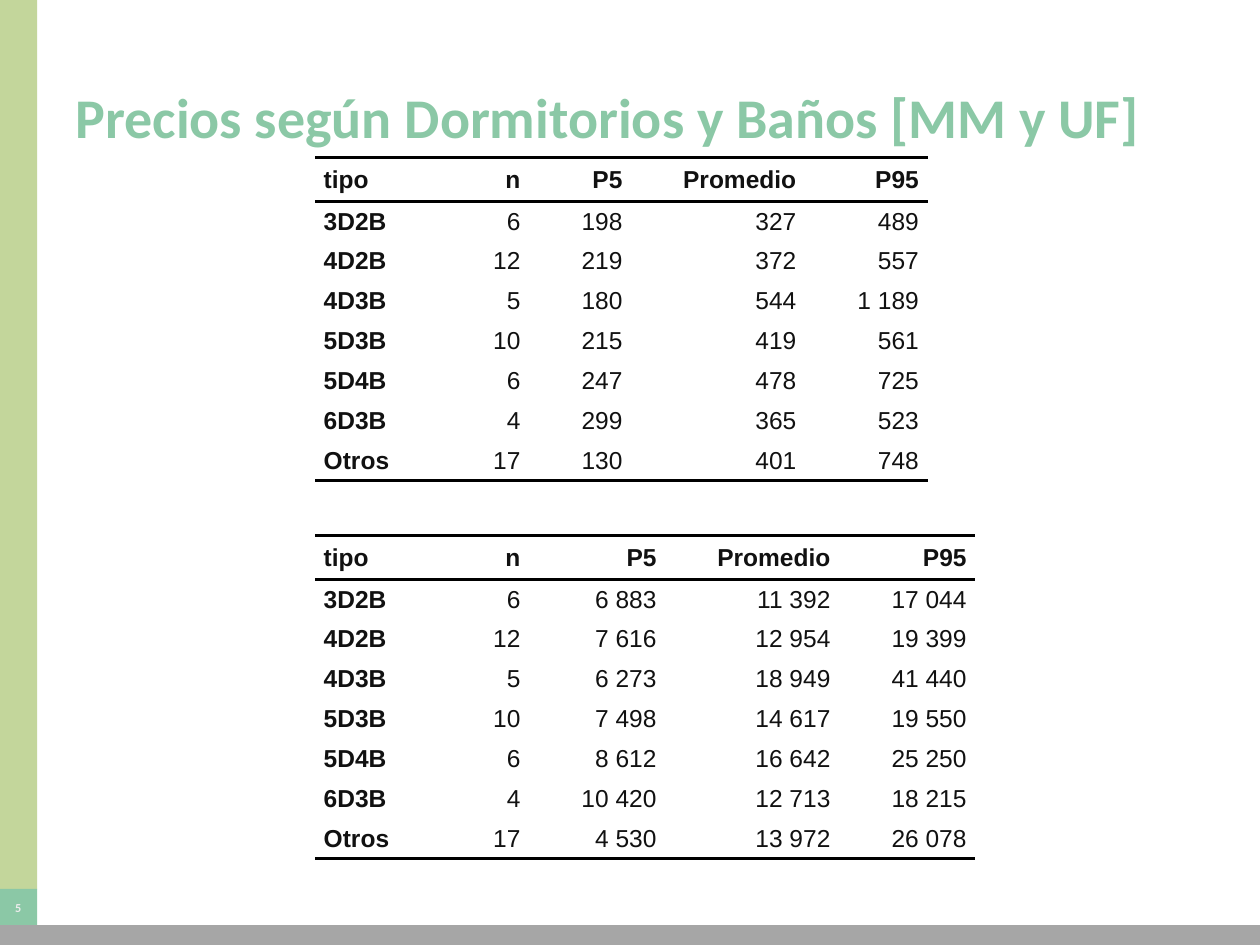
from lxml.etree import SubElement
from pptx import Presentation
from pptx.dml.color import RGBColor
from pptx.enum.shapes import MSO_SHAPE as Shape
from pptx.enum.text import MSO_ANCHOR as Anchor, PP_ALIGN as Align
from pptx.oxml.ns import qn
from pptx.util import Pt

COLORS = {
    "lime": "C3D69B",
    "mint": "8BC8A6",
    "gray": "A6A6A6",
    "pale": "ECECEC",
    "ink": "111111",
    "rule": "000000",
}
NO_STYLE_NO_GRID = "{2D5ABB26-0587-4C30-8999-92F81FD0307C}"
HEADER = ["tipo", "n", "P5", "Promedio", "P95"]
TYPES = ["3D2B", "4D2B", "4D3B", "5D3B", "5D4B", "6D3B", "Otros"]
COUNTS = ["6", "12", "5", "10", "6", "4", "17"]
MILLIONS = [
    ("198", "327", "489"),
    ("219", "372", "557"),
    ("180", "544", "1 189"),
    ("215", "419", "561"),
    ("247", "478", "725"),
    ("299", "365", "523"),
    ("130", "401", "748"),
]
UF = [
    ("6 883", "11 392", "17 044"),
    ("7 616", "12 954", "19 399"),
    ("6 273", "18 949", "41 440"),
    ("7 498", "14 617", "19 550"),
    ("8 612", "16 642", "25 250"),
    ("10 420", "12 713", "18 215"),
    ("4 530", "13 972", "26 078"),
]


def rgb(name):
    return RGBColor.from_string(COLORS[name])


def write_text(frame, text, *, size, color, font="Calibri", bold=True,
               align=Align.LEFT, before=0, after=0):
    para = frame.paragraphs[0]
    para.alignment = align
    para.space_before, para.space_after = Pt(before), Pt(after)
    span = para.add_run()
    span.text = text
    span.font.name, span.font.size, span.font.bold = font, Pt(size), bold
    span.font.color.rgb = rgb(color)
    return para


class SlideBuilder:
    def __init__(self, slide, table_font="Arial", table_size=14,
                 padding=5, rule_width=2):
        self.slide = slide
        self.table_font = table_font
        self.table_size = table_size
        self.padding = padding
        self.rule_width = rule_width

    def bar(self, left, top, width, height, color):
        box = self.slide.shapes.add_shape(
            Shape.RECTANGLE, Pt(left), Pt(top), Pt(width), Pt(height))
        box.shadow.inherit = False
        box.fill.solid()
        box.fill.fore_color.rgb = rgb(color)
        box.line.fill.background()
        return box

    def page_number(self, box, text):
        frame = box.text_frame
        frame.vertical_anchor = Anchor.MIDDLE
        write_text(frame, text, size=7, color="pale", align=Align.CENTER, after=6)

    def title(self, text, left, top, width, height):
        box = self.slide.shapes.add_textbox(Pt(left), Pt(top), Pt(width), Pt(height))
        frame = box.text_frame
        frame.word_wrap = True
        frame.vertical_anchor = Anchor.MIDDLE
        write_text(frame, text, size=32, color="mint")

    def cell_rule(self, cell, side):
        """Draw a rule on the "T" (top) or "B" (bottom) side of a cell."""
        line = SubElement(cell._tc.get_or_add_tcPr(), qn(f"a:ln{side}"),
                          w=str(Pt(self.rule_width)))
        fill = SubElement(line, qn("a:solidFill"))
        SubElement(fill, qn("a:srgbClr"), val=COLORS["rule"])

    def cell(self, cell, text, is_bold, align, sides):
        cell.margin_left = cell.margin_right = 0
        cell.margin_top = cell.margin_bottom = 0
        cell.vertical_anchor = Anchor.MIDDLE
        para = write_text(cell.text_frame, text, size=self.table_size, color="ink",
                          font=self.table_font, bold=is_bold, align=align,
                          before=2, after=2)
        props = para._p.get_or_add_pPr()
        for name in ("marL", "marR"):
            props.set(name, str(Pt(self.padding)))
        props.set("indent", "0")
        for side in sides:
            self.cell_rule(cell, side)
        cell.fill.background()

    def price_table(self, prices, left, top, widths, header_height=25.2, row_height=22.78):
        rows = [HEADER] + [[kind, count, *values]
                           for kind, count, values in zip(TYPES, COUNTS, prices)]
        heights = [header_height] + [row_height] * len(prices)
        frame = self.slide.shapes.add_table(
            len(rows), len(widths), Pt(left), Pt(top), Pt(sum(widths)), Pt(sum(heights)))
        table = frame.table
        table.horz_banding = False
        table._tbl.tblPr.find(qn("a:tableStyleId")).text = NO_STYLE_NO_GRID
        for column, width in zip(table.columns, widths):
            column.width = Pt(width)
        last = len(rows) - 1
        for i, row in enumerate(rows):
            table.rows[i].height = Pt(heights[i])
            sides = "TB" if i == 0 else "B" if i == last else ""
            for j, text in enumerate(row):
                align = Align.LEFT if j == 0 else Align.RIGHT
                self.cell(table.cell(i, j), text, i == 0 or j == 0, align, sides)


def main():
    deck = Presentation()
    deck.slide_width, deck.slide_height = Pt(720), Pt(540)
    page = SlideBuilder(deck.slides.add_slide(deck.slide_layouts[6]))

    page.bar(0, 0, 21.3, 508.3, "lime")
    number_box = page.bar(-0.5, 508, 21.8, 21, "mint")
    page.page_number(number_box, "5")
    page.bar(-0.5, 528.7, 722, 11.3, "gray")
    page.title("Precios según Dormitorios y Baños [MM y UF]", 36, 21.6, 648, 90)
    page.price_table(MILLIONS, 180, 90, [72, 50.4, 58.3, 99.4, 70])
    page.price_table(UF, 180, 306, [72, 50.4, 77.8, 99.4, 77.8])

    deck.save("out.pptx")


if __name__ == "__main__":
    main()
